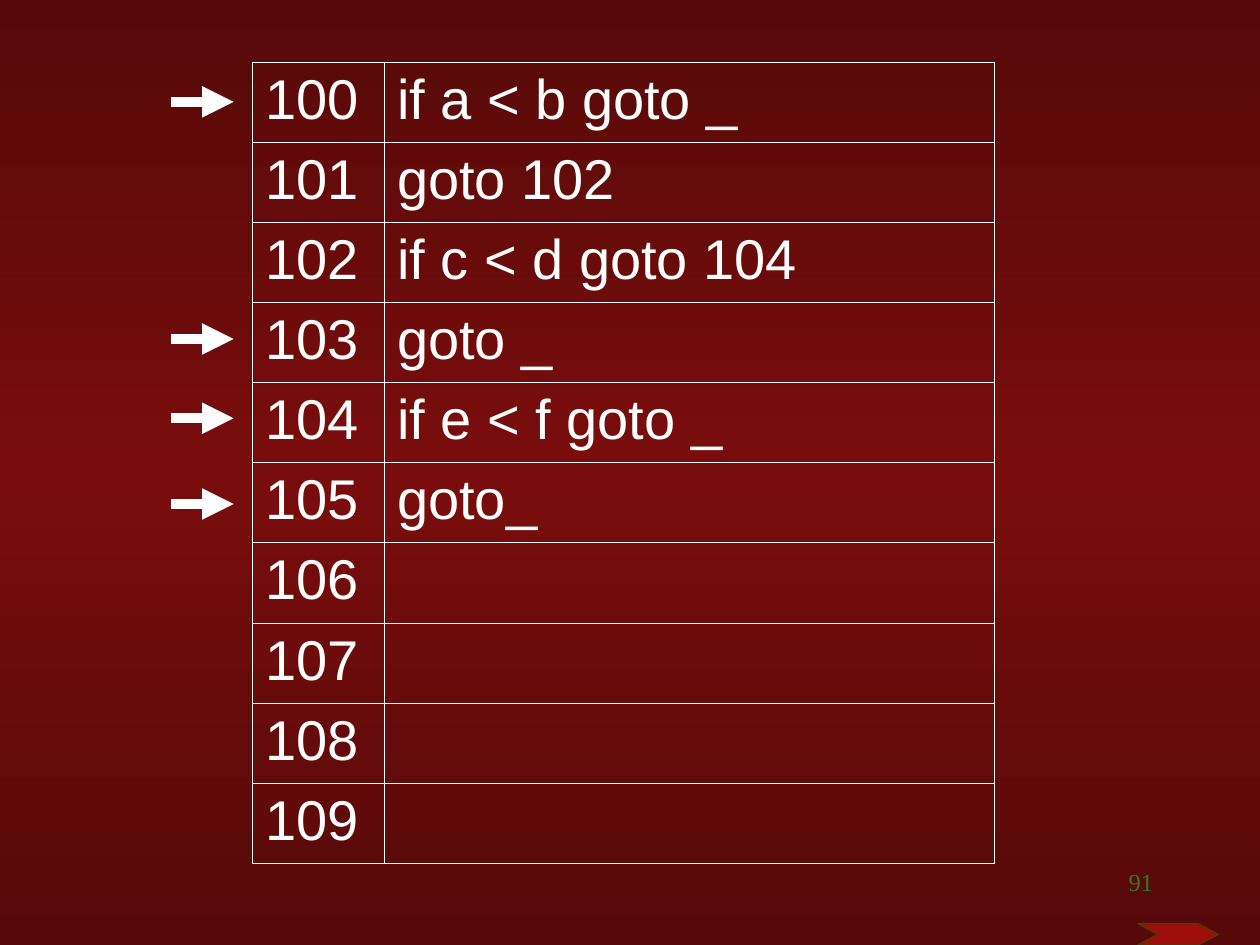
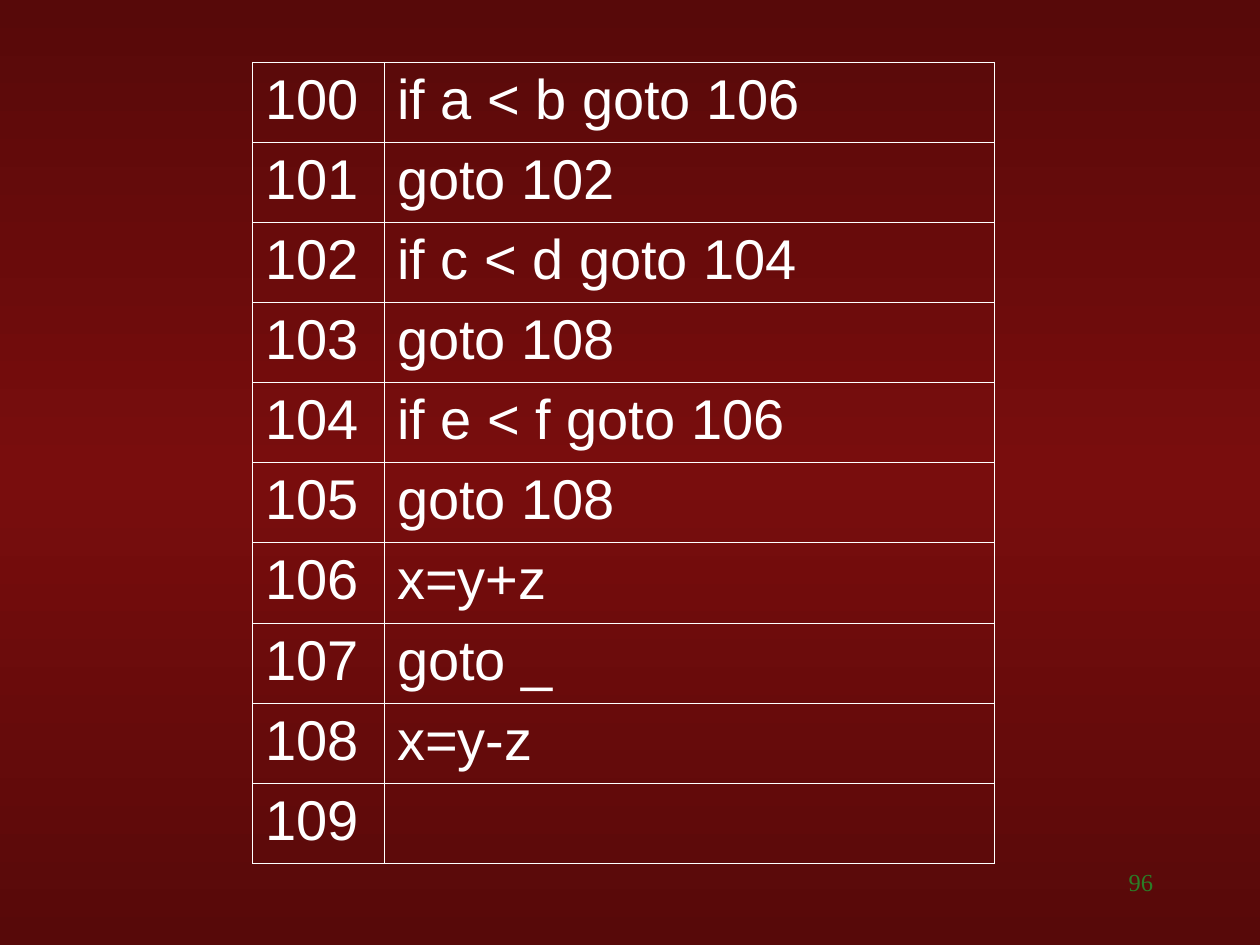
import copy

import lxml.etree
import pptx
import pptx.dml.color
import pptx.enum.shapes
import pptx.enum.text
import pptx.oxml.ns
import pptx.util

Pt = pptx.util.Pt
qn = pptx.oxml.ns.qn

FIRST_ADDRESS = 100
SLIDES = [
    {
        "number": "91",
        "code": ["if a < b goto _", "goto 102", "if c < d goto 104", "goto _",
                 "if e < f goto _", "goto_", "", "", "", ""],
        "arrow_heights": [58.2, 239, 193.7, 288],
        "has_chevron": True,
    },
    {
        "number": "96",
        "code": ["if a < b goto 106", "goto 102", "if c < d goto 104", "goto 108",
                 "if e < f goto 106", "goto 108", "x=y+z", "goto _", "x=y-z", ""],
        "arrow_heights": [],
        "has_chevron": False,
    },
]

WHITE = "FFFFFF"
NUMBER_GREEN = "2B7D27"
CHEVRON_FILL, CHEVRON_LINE = "9E0E0A", "503C04"
BACKGROUND_STOPS = [(0, "570909"), (0.5, "790D0D"), (1, "570909")]

TABLE_LEFT, TABLE_TOP = 144.4, 35.5
COLUMN_WIDTHS = [75.4, 348.6]
ROW_HEIGHT = 45.8
BORDER_WIDTH = 0.45
ARROW_LEFT, ARROW_RIGHT = 97.8, 133.5
CHEVRON_POINTS = [(650.2, 527.8), (684.7, 527.8), (696.2, 534),
                  (684.7, 540), (650.2, 540), (661.7, 534)]


def color(hex_string):
    return pptx.dml.color.RGBColor.from_string(hex_string)


def style_text(paragraph, font_name, size, hex_string):
    for span in paragraph.runs:
        span.font.name = font_name
        span.font.size = Pt(size)
        span.font.color.rgb = color(hex_string)


def paint_background(master):
    fill = master.background.fill
    fill.gradient()
    fill.gradient_angle = 270
    stop_list = master.element.find(".//" + qn("p:bg")).find(".//" + qn("a:gsLst"))
    stop_list.append(copy.deepcopy(stop_list[0]))
    for stop, (position, hex_string) in zip(fill.gradient_stops, BACKGROUND_STOPS):
        stop.position = position
        stop.color.rgb = color(hex_string)


def add_borders(cell):
    properties = cell._tc.get_or_add_tcPr()
    for index, side in enumerate(["a:lnL", "a:lnR", "a:lnT", "a:lnB"]):
        border = lxml.etree.Element(qn(side), w=str(Pt(BORDER_WIDTH)))
        solid = lxml.etree.SubElement(border, qn("a:solidFill"))
        lxml.etree.SubElement(solid, qn("a:srgbClr"), val=WHITE)
        properties.insert(index, border)


def add_code_table(page, code):
    frame = page.shapes.add_table(
        len(code), len(COLUMN_WIDTHS), Pt(TABLE_LEFT), Pt(TABLE_TOP),
        Pt(sum(COLUMN_WIDTHS)), Pt(ROW_HEIGHT * len(code)))
    table = frame.table
    table.first_row = False
    table.horz_banding = False
    for column, width in zip(table.columns, COLUMN_WIDTHS):
        column.width = Pt(width)
    for index, instruction in enumerate(code):
        table.rows[index].height = Pt(ROW_HEIGHT)
        for cell, text in zip(table.rows[index].cells, [str(FIRST_ADDRESS + index), instruction]):
            cell.fill.background()
            add_borders(cell)
            if text:
                cell.text_frame.text = text
                style_text(cell.text_frame.paragraphs[0], "Arial", 32, WHITE)


def add_arrow(page, height):
    arrow = page.shapes.add_connector(
        pptx.enum.shapes.MSO_CONNECTOR.STRAIGHT,
        Pt(ARROW_LEFT), Pt(height), Pt(ARROW_RIGHT), Pt(height))
    arrow.line.color.rgb = color(WHITE)
    arrow.line.width = Pt(6)
    lxml.etree.SubElement(arrow.line._get_or_add_ln(), qn("a:tailEnd"), type="triangle")
    lxml.etree.SubElement(arrow._element.spPr, qn("a:effectLst"))


def add_chevron(page):
    points = [(Pt(x), Pt(y)) for x, y in CHEVRON_POINTS]
    builder = page.shapes.build_freeform(*points[0])
    builder.add_line_segments(points[1:], close=True)
    chevron = builder.convert_to_shape()
    chevron.shadow.inherit = False
    chevron.fill.solid()
    chevron.fill.fore_color.rgb = color(CHEVRON_FILL)
    chevron.line.color.rgb = color(CHEVRON_LINE)
    chevron.line.width = Pt(0.75)


def add_page_number(page, number):
    box = page.shapes.add_textbox(Pt(516), Pt(492), Pt(150), Pt(36))
    box.text_frame.word_wrap = True
    box.text_frame.text = number
    para = box.text_frame.paragraphs[0]
    para.alignment = pptx.enum.text.PP_ALIGN.RIGHT
    style_text(para, "Times New Roman", 14, NUMBER_GREEN)


def main():
    deck = pptx.Presentation()
    deck.slide_width, deck.slide_height = Pt(720), Pt(540)
    paint_background(deck.slide_master)
    for content in SLIDES:
        page = deck.slides.add_slide(deck.slide_layouts[6])
        add_code_table(page, content["code"])
        for height in content["arrow_heights"]:
            add_arrow(page, height)
        if content["has_chevron"]:
            add_chevron(page)
        add_page_number(page, content["number"])
    deck.save("out.pptx")


if __name__ == "__main__":
    main()
